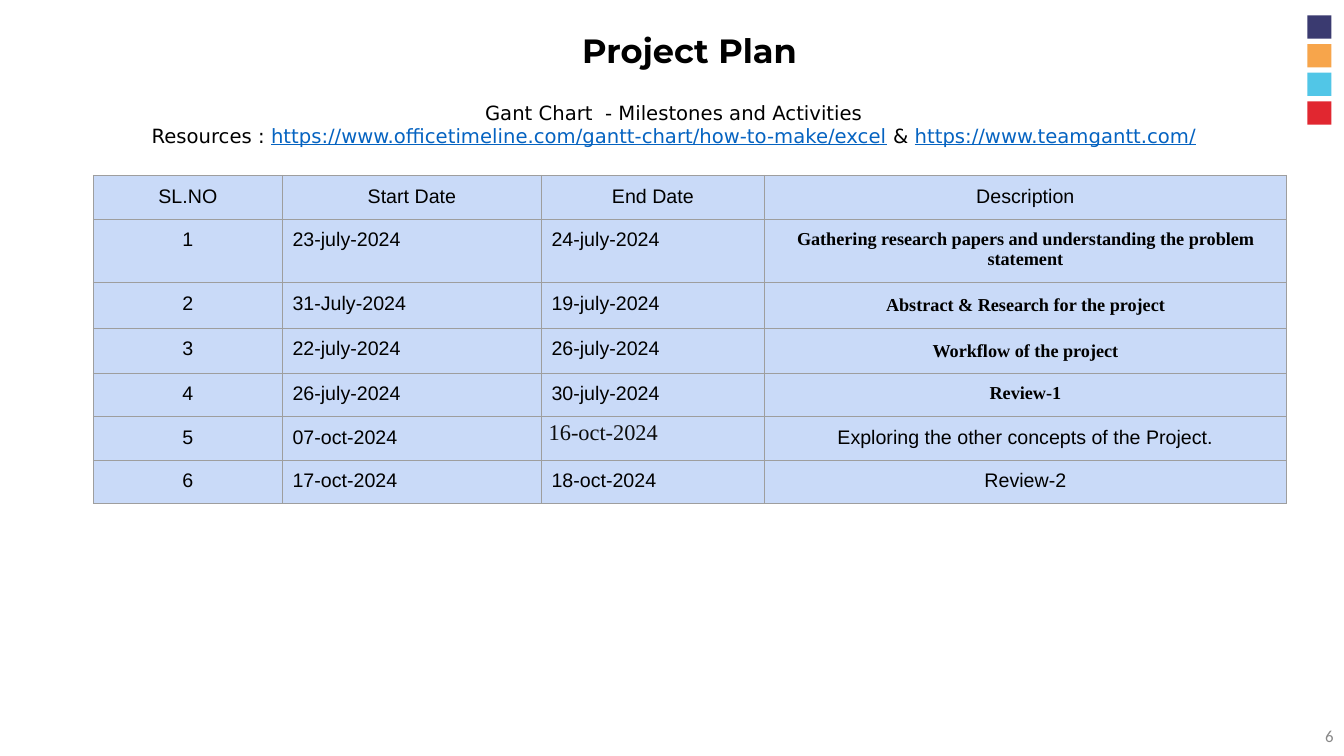
import pptx
import pptx.dml.color
import pptx.enum.shapes
import pptx.enum.text
import pptx.oxml
import pptx.oxml.ns
import pptx.util

Pt = pptx.util.Pt
ALIGN = pptx.enum.text.PP_ALIGN
ANCHOR = pptx.enum.text.MSO_ANCHOR

# Content
HEADING = "Project Plan"
PAGE = "6"
INTRO = [
    [("Gant Chart  - Milestones and Activities", False)],
    [("Resources : ", False),
     ("https://www.officetimeline.com/gantt-chart/how-to-make/excel", True),
     (" & ", False),
     ("https://www.teamgantt.com/", True)],
]
PLAN = [
    ("SL.NO", "Start Date", "End Date", "Description"),
    ("1", "23-july-2024", "24-july-2024",
     "Gathering research papers and understanding the problem statement"),
    ("2", "31-July-2024", "19-july-2024", "Abstract & Research for the project"),
    ("3", "22-july-2024", "26-july-2024", "Workflow of the project"),
    ("4", "26-july-2024", "30-july-2024", "Review-1"),
    ("5", "07-oct-2024", "16-oct-2024", "Exploring the other concepts of the Project."),
    ("6", "17-oct-2024", "18-oct-2024", "Review-2"),
]
COLUMN_WIDTHS = [135.2, 185, 159.2, 372.9]
ROW_HEIGHTS = [31.2, 45.2, 32.6, 32.2, 31.4, 30.8, 31.2]
ACCENTS = ["3A3A70", "F7A54B", "51C6E7", "E12730"]

# Text formats
TITLE_FONT = dict(name="Montserrat", size=Pt(24), bold=True)
INTRO_FONT = dict(name="DejaVu Sans", size=Pt(14))
PAGE_FONT = dict(name="Calibri", size=Pt(12))
CELL_FONT = dict(name="Arial", size=Pt(14), bold=False)
TASK_FONT = dict(name="Times New Roman", size=Pt(13), bold=True)
LATE_FONT = dict(name="Times New Roman", size=Pt(16), bold=False)


def color(target, value):
    target.rgb = pptx.dml.color.RGBColor.from_string(value)


def set_all(target, values):
    for key, value in values.items():
        setattr(target, key, value)


def place(shape, left, top, width, height):
    set_all(shape, dict(left=Pt(left), top=Pt(top), width=Pt(width), height=Pt(height)))


def set_frame(frame, anchor):
    set_all(frame, dict(word_wrap=True, vertical_anchor=anchor,
                        auto_size=pptx.enum.text.MSO_AUTO_SIZE.NONE,
                        margin_left=Pt(7.2), margin_right=Pt(7.2),
                        margin_top=Pt(3.6), margin_bottom=Pt(3.6)))


def write(paragraph, text, font, ink="000000", align=ALIGN.CENTER):
    paragraph.alignment = align
    run = paragraph.add_run()
    run.text = text
    set_all(run.font, font)
    color(run.font.color, ink)
    return run


def add_borders(cell):
    properties = cell._tc.get_or_add_tcPr()
    for side in ("lnL", "lnR", "lnT", "lnB"):
        properties.append(pptx.oxml.parse_xml(
            f'<a:{side} {pptx.oxml.ns.nsdecls("a")} w="9525"><a:solidFill>'
            f'<a:srgbClr val="9E9E9E"/></a:solidFill></a:{side}>'))


deck = pptx.Presentation()
set_all(deck, dict(slide_width=Pt(960), slide_height=Pt(540)))
slide = deck.slides.add_slide(deck.slide_layouts[1])

# Accent squares
for i, accent in enumerate(ACCENTS):
    square = slide.shapes.add_shape(pptx.enum.shapes.MSO_SHAPE.RECTANGLE,
                                    Pt(933.8), Pt(11 + 20.5 * i), Pt(17.3), Pt(16.6))
    square.shadow.inherit = False
    square.fill.solid()
    color(square.fill.fore_color, accent)
    square.line.fill.background()

# Title
heading = slide.shapes.title
place(heading, 78.5, 18, 828, 38.9)
set_frame(heading.text_frame, ANCHOR.TOP)
write(heading.text_frame.paragraphs[0], HEADING, TITLE_FONT)

# Intro lines
intro = slide.placeholders[1]
place(intro, 35.3, 68.4, 892, 451.4)
set_frame(intro.text_frame, ANCHOR.TOP)
for i, parts in enumerate(INTRO):
    line = intro.text_frame.add_paragraph() if i else intro.text_frame.paragraphs[0]
    properties = line._p.get_or_add_pPr()
    set_all(line, dict(space_before=Pt(0), space_after=Pt(0)))
    properties.set("marL", "0")
    properties.set("indent", "0")
    properties.append(pptx.oxml.parse_xml(f'<a:buNone {pptx.oxml.ns.nsdecls("a")}/>'))
    for text, is_address in parts:
        run = write(line, text, INTRO_FONT, "0563C1" if is_address else "000000")
        run.font.underline = is_address

# Page number
page = slide.shapes.add_textbox(Pt(743.8), Pt(511.2), Pt(216), Pt(28.8))
set_frame(page.text_frame, ANCHOR.MIDDLE)
write(page.text_frame.paragraphs[0], PAGE, PAGE_FONT, "888888", ALIGN.RIGHT)

# Plan table
plan = slide.shapes.add_table(len(PLAN), len(COLUMN_WIDTHS), Pt(66.6), Pt(125.3),
                              Pt(sum(COLUMN_WIDTHS)), Pt(sum(ROW_HEIGHTS))).table
set_all(plan, dict(first_row=False, horz_banding=False))
for column, width in zip(plan.columns, COLUMN_WIDTHS):
    column.width = Pt(width)
for row, height in zip(plan.rows, ROW_HEIGHTS):
    row.height = Pt(height)

for r, entries in enumerate(PLAN):
    for c, text in enumerate(entries):
        cell = plan.cell(r, c)
        is_task = c == 3 and 1 <= r <= 4
        is_late = (r, c) == (5, 2)
        add_borders(cell)
        cell.fill.solid()
        color(cell.fill.fore_color, "C9DAF8")
        side, edge = (5.2, 0) if is_late else (7.2, 7.2)
        set_all(cell, dict(margin_left=Pt(side), margin_right=Pt(side),
                           margin_top=Pt(edge), margin_bottom=Pt(edge)))
        entry = cell.text_frame.paragraphs[0]
        if is_late or (is_task and r in (2, 3)):
            entry.line_spacing = 1.15
        font = LATE_FONT if is_late else TASK_FONT if is_task else CELL_FONT
        is_date = r > 0 and c in (1, 2)
        write(entry, text, font, "0D0D0D" if is_late else "000000",
              ALIGN.LEFT if is_date else ALIGN.CENTER)

deck.save("out.pptx")
